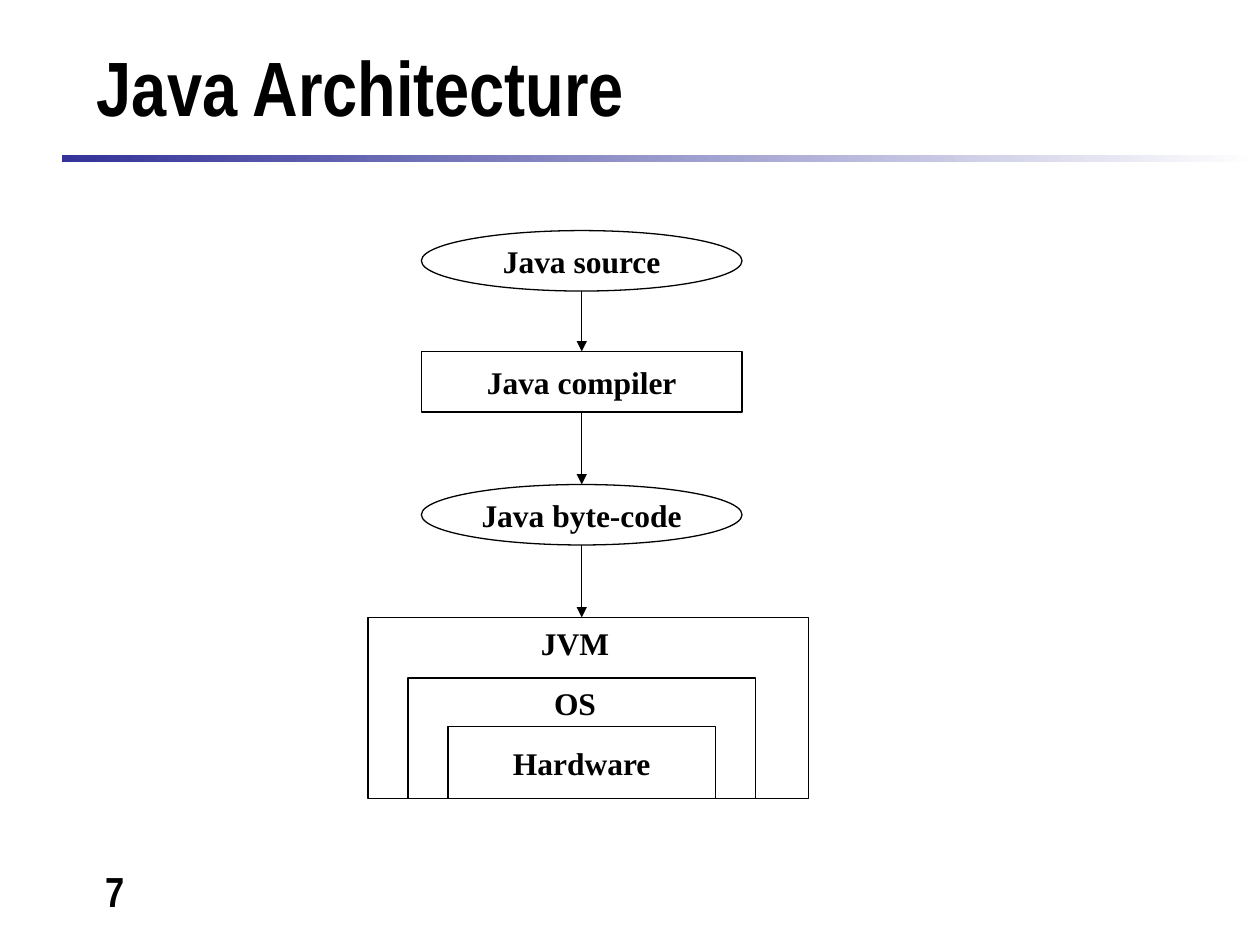
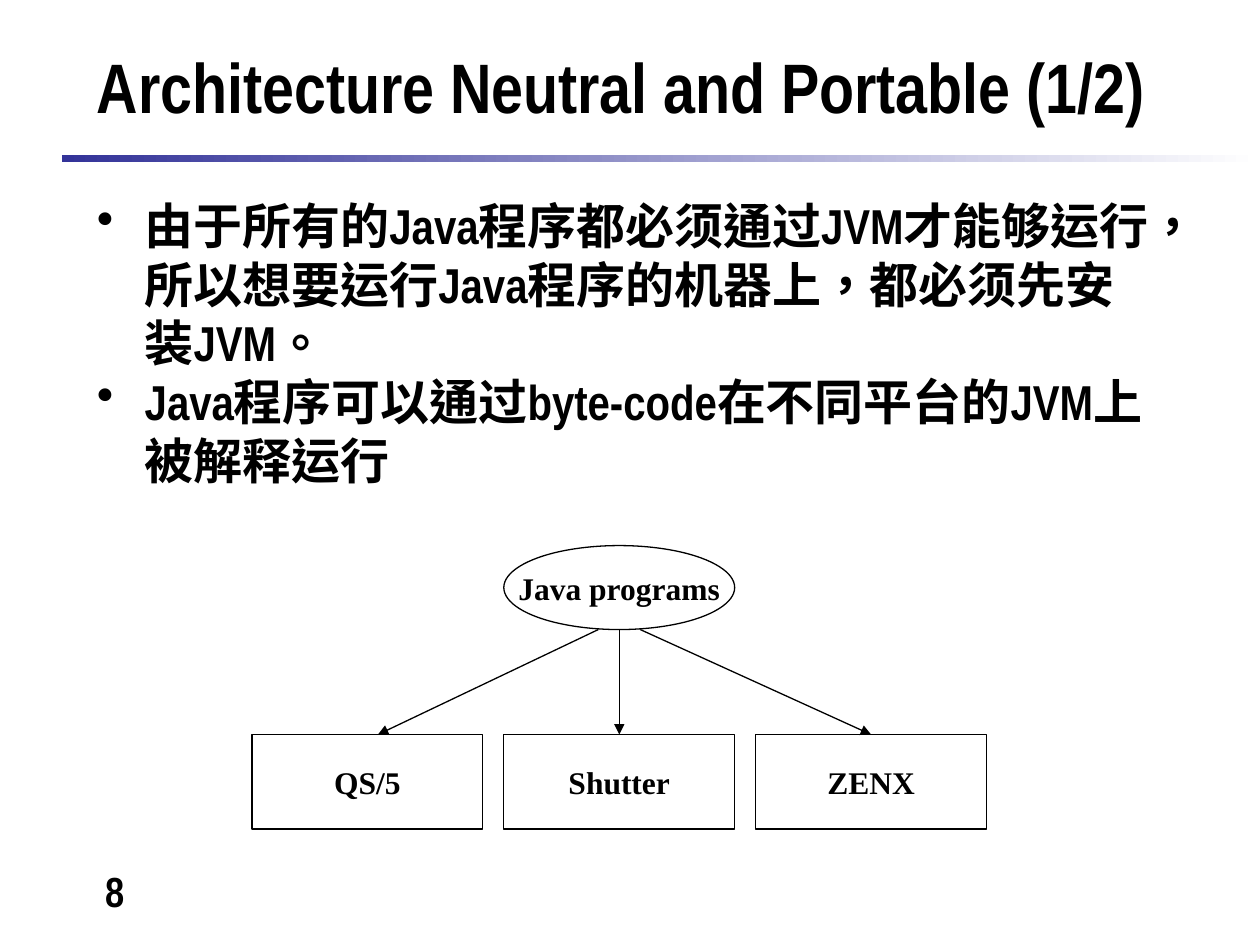
from lxml.etree import SubElement
from pptx import Presentation
from pptx.dml.color import RGBColor
from pptx.enum.lang import MSO_LANGUAGE_ID as LANG
from pptx.enum.shapes import MSO_CONNECTOR, MSO_SHAPE
from pptx.enum.text import MSO_ANCHOR, PP_ALIGN
from pptx.oxml.ns import qn
from pptx.util import Inches, Pt

WIDE, HIGH = 10, 7.5
INK, PAPER, BLUE = "000000", "FFFFFF", "333399"
SANS, SERIF = "Arial Narrow", "Times New Roman"
OVAL, RECT = MSO_SHAPE.OVAL, MSO_SHAPE.RECTANGLE

TITLE = (0.67, 0.21, 8.58, 0.94)
RULE = (0.49, 1.23, 9.51, 0.06)
BODY = (0.67, 1.5, 8.58, 2.58)
NUMBER = (0.2, 6.82, 1.42, 0.52)
STACK = (2.92, 1.83, 3.5, 4.51)
TREE = (2, 4.33, 5.83, 2.25)


def tint(code):
    """Turn a hex string into a colour."""
    return RGBColor.from_string(code)


def split(box, cols, rows):
    """Return a function that maps grid cells of a box to inches."""
    left, top, width, height = box
    dx, dy = width / cols, height / rows

    def cell(col, row, wide=0, high=0):
        """Give the left, top, width and height of a span of cells."""
        return left + col * dx, top + row * dy, wide * dx, high * dy

    return cell


def write(frame, text, size=18, font=SERIF, align=PP_ALIGN.CENTER,
          anchor=MSO_ANCHOR.MIDDLE, wrap=True, dot=None, lang=None):
    """Fill a text frame, one paragraph for each line of text."""
    frame.word_wrap = wrap
    frame.vertical_anchor = anchor
    for i, line in enumerate(text.split("\n")):
        para = frame.add_paragraph() if i else frame.paragraphs[0]
        para.alignment = align
        run = para.add_run()
        run.text = line
        run.font.size, run.font.name, run.font.bold = Pt(size), font, True
        run.font.color.rgb = tint(INK)
        if lang:
            run.font.language_id = lang
        if dot:
            props = para._p.get_or_add_pPr()
            props.set("marL", str(Inches(0.38)))
            props.set("indent", str(-Inches(0.38)))
            SubElement(props, qn("a:buChar")).set("char", dot)


def label(slide, box, text, **style):
    """Place a text box."""
    area = slide.shapes.add_textbox(*map(Inches, box))
    write(area.text_frame, text, **style)


def node(slide, kind, box, text=""):
    """Draw an outlined shape with an optional caption."""
    shape = slide.shapes.add_shape(kind, *map(Inches, box))
    shape.shadow.inherit = False
    shape.fill.background()
    shape.line.color.rgb = tint(INK)
    shape.line.width = Pt(0.75)
    if text:
        write(shape.text_frame, text, wrap=False)


def arrow(slide, start, end):
    """Draw a thin arrow between two cells of a grid."""
    ends = map(Inches, start[:2] + end[:2])
    link = slide.shapes.add_connector(MSO_CONNECTOR.STRAIGHT, *ends)
    link.line.color.rgb = tint(INK)
    link.line.width = Pt(0.75)
    SubElement(link.line._get_or_add_ln(), qn("a:tailEnd")).set("type", "triangle")
    SubElement(link._element.spPr, qn("a:effectLst"))


def frame(deck, title, number, size):
    """Add a slide with its rule, title and number."""
    slide = deck.slides.add_slide(deck.slide_layouts[6])
    rule = slide.shapes.add_shape(RECT, *map(Inches, RULE))
    rule.shadow.inherit = False
    rule.line.fill.background()
    rule.fill.gradient()
    rule.fill.gradient_angle = 0
    for stop, code in zip(rule.fill.gradient_stops, (BLUE, PAPER)):
        stop.color.rgb = tint(code)
    label(slide, TITLE, title, size=size, font=SANS, align=PP_ALIGN.LEFT)
    label(slide, NUMBER, str(number), size=24, font=SANS, anchor=MSO_ANCHOR.TOP)
    return slide


def stack(slide, box):
    """Draw the path from source code down to the nested machine."""
    cell = split(box, 33, 47)
    steps = ((OVAL, 0, "Java source"), (RECT, 10, "Java compiler"),
             (OVAL, 21, "Java byte-code"))
    tops = [row for _, row, _ in steps] + [32]
    for (kind, row, text), below in zip(steps, tops[1:]):
        node(slide, kind, cell(4, row, 24, 5), text)
        arrow(slide, cell(16, row + 5), cell(16, below))
    node(slide, RECT, cell(0, 32, 33, 15))
    node(slide, RECT, cell(3, 37, 26, 10))
    node(slide, RECT, cell(6, 41, 20, 6), "Hardware")
    for col, row, wide, text in ((12, 32, 7, "JVM"), (13, 37, 5, "OS")):
        label(slide, cell(col, row, wide, 4), text,
              anchor=MSO_ANCHOR.TOP, wrap=False)


def tree(slide, box):
    """Draw one program that fans out to three systems."""
    cell = split(box, 35, 27)
    node(slide, OVAL, cell(12, 0, 11, 8), "Java programs")
    leaves = (("QS/5", 6), ("Shutter", 17.5), ("ZENX", 29.5))
    for i, (text, tip) in enumerate(leaves):
        node(slide, RECT, cell(12 * i, 18, 11, 9), text)
        arrow(slide, cell(16.5 + i, 8), cell(tip, 18))


def main():
    """Build and save the deck."""
    deck = Presentation()
    deck.slide_width, deck.slide_height = Inches(WIDE), Inches(HIGH)
    stack(frame(deck, "Java Architecture", 7, 44), STACK)
    slide = frame(deck, "Architecture Neutral and Portable (1/2)", 8, 40)
    label(slide, BODY,
          "由于所有的Java程序都必须通过JVM才能够运行，所以想要运行Java程序的机器上，都必须先安装JVM。\n"
          "Java程序可以通过byte-code在不同平台的JVM上被解释运行",
          size=28, font=SANS, align=PP_ALIGN.LEFT, anchor=MSO_ANCHOR.TOP,
          dot="•", lang=LANG.TRADITIONAL_CHINESE)
    tree(slide, TREE)
    deck.save("out.pptx")


if __name__ == "__main__":
    main()
